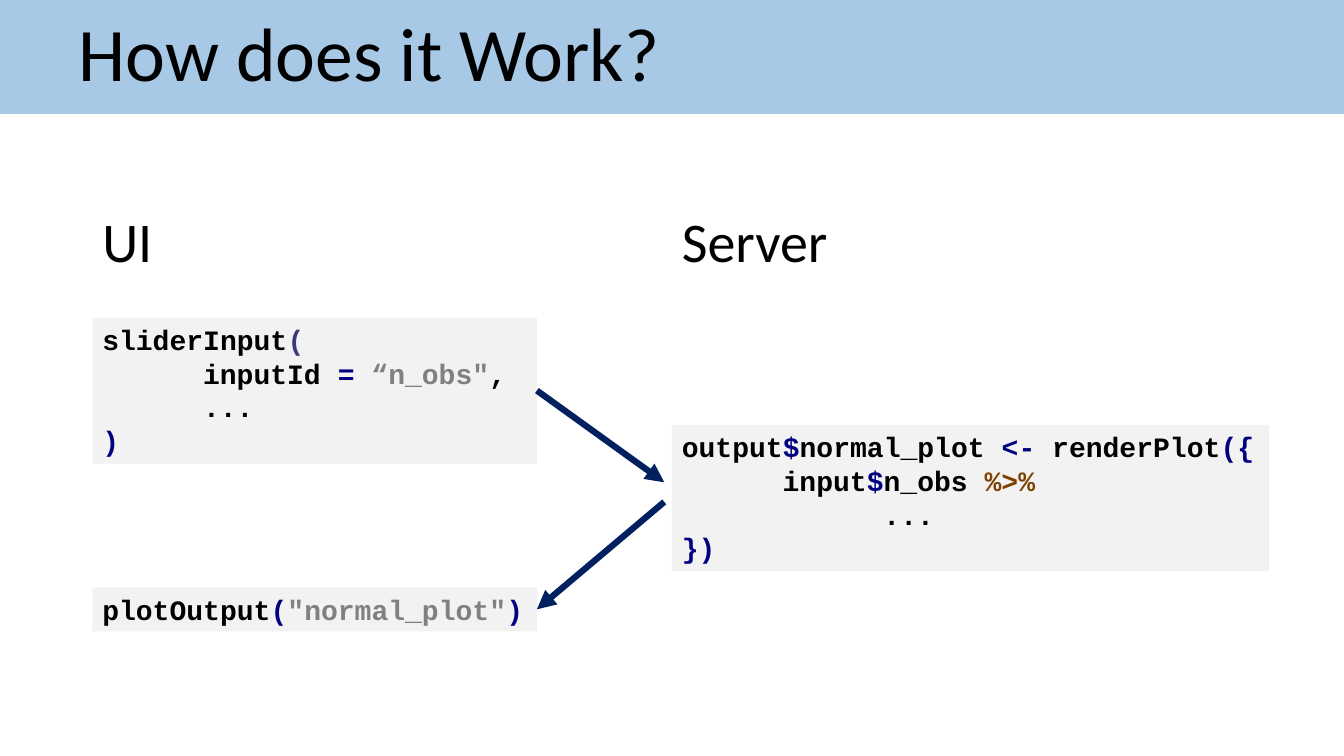
from lxml import etree
from pptx import Presentation
from pptx.dml.color import RGBColor
from pptx.enum.shapes import MSO_CONNECTOR, MSO_SHAPE
from pptx.enum.text import MSO_ANCHOR, MSO_AUTO_SIZE, PP_ALIGN
from pptx.oxml.ns import qn
from pptx.util import Pt

RECTANGLE = MSO_SHAPE.RECTANGLE
STRAIGHT = MSO_CONNECTOR.STRAIGHT
TOP, MIDDLE = MSO_ANCHOR.TOP, MSO_ANCHOR.MIDDLE
LEFT = PP_ALIGN.LEFT
NO_AUTOFIT = MSO_AUTO_SIZE.NONE
RIGHT_SIDE = 3

COLORS = {
    "banner": "5094CE",
    "panel": "F2F2F2",
    "arrow": "002060",
    "text": "000000",
    "operator": "000080",
    "paren": "3A3A7A",
    "string": "808080",
    "pipe": "804000",
}
SLIDE_W, SLIDE_H = 960, 540
UI_X, SERVER_X = 66, 480
UI_W, SERVER_W = 317.5, 426.5
HEADING_Y, HEADING_H = 144, 55.4
BLOCK_H = 104.4
TAB_WIDTH = 72

# Each code line is a list of (token, colour) pairs.
SLIDER_CODE = [
    [("sliderInput", "text"), ("(", "paren")],
    [("\tinputId ", "text"), ("= ", "operator"), ("“n_obs\"", "string"), (",", "text")],
    [("\t...", "text")],
    [(")", "operator")],
]
SERVER_CODE = [
    [("output", "text"), ("$", "operator"), ("normal_plot ", "text"),
     ("<- ", "operator"), ("renderPlot", "text"), ("({", "operator")],
    [("\tinput", "text"), ("$", "operator"), ("n_obs ", "text"), ("%>%", "pipe")],
    [("\t\t...", "text")],
    [("})", "operator")],
]
PLOT_CODE = [
    [("plotOutput", "text"), ("(", "operator"), ("\"normal_plot\"", "string"), (")", "operator")],
]


def rgb(name):
    return RGBColor.from_string(COLORS[name])


def write_text(frame, lines, size, font="Calibri", bold=False, anchor=TOP,
               wrap=True, line_spacing=None):
    """Fill a text frame with lines of coloured tokens."""
    frame.auto_size = NO_AUTOFIT
    frame.word_wrap = wrap
    frame.vertical_anchor = anchor
    for number, tokens in enumerate(lines):
        paragraph = frame.add_paragraph() if number else frame.paragraphs[0]
        paragraph.alignment = LEFT
        paragraph._p.get_or_add_pPr().set("defTabSz", str(Pt(TAB_WIDTH)))
        if line_spacing:
            paragraph.line_spacing = line_spacing
        for token, color in tokens:
            run = paragraph.add_run()
            run.text = token
            run.font.name = font
            run.font.size = Pt(size)
            run.font.bold = bold
            run.font.color.rgb = rgb(color)


def add_banner(slide, x, y, w, h):
    banner = slide.shapes.title
    banner.left, banner.top, banner.width, banner.height = Pt(x), Pt(y), Pt(w), Pt(h)
    banner.fill.solid()
    banner.fill.fore_color.rgb = rgb("banner")
    color = next(banner.fill._xPr.iter(qn("a:srgbClr")))
    etree.SubElement(color, qn("a:alpha")).set("val", "50000")
    banner.text_frame.margin_left = Pt(56)
    write_text(banner.text_frame, [[("How does it Work?", "text")]], 54,
               anchor=MIDDLE, line_spacing=0.9)


def add_heading(slide, text, x, y, w, h):
    heading = slide.shapes.add_textbox(Pt(x), Pt(y), Pt(w), Pt(h))
    write_text(heading.text_frame, [[(text, "text")]], 40, wrap=False)


def add_code(slide, code, x, y, w, h, anchor=TOP):
    panel = slide.shapes.add_shape(RECTANGLE, Pt(x), Pt(y), Pt(w), Pt(h))
    panel.shadow.inherit = False
    panel.fill.solid()
    panel.fill.fore_color.rgb = rgb("panel")
    panel.line.fill.background()
    write_text(panel.text_frame, code, 20, font="Courier New", bold=True, anchor=anchor)
    return panel


def add_arrow(slide, x1, y1, x2, y2):
    arrow = slide.shapes.add_connector(STRAIGHT, Pt(x1), Pt(y1), Pt(x2), Pt(y2))
    arrow.line.color.rgb = rgb("arrow")
    arrow.line.width = Pt(4.5)
    etree.SubElement(arrow.line._get_or_add_ln(), qn("a:tailEnd")).set("type", "triangle")
    etree.SubElement(arrow._element.spPr, qn("a:effectLst"))
    return arrow


def add_flow(slide):
    """Place the three code panels and the arrows that link them."""
    slider_y, server_y, plot_y, plot_h = 226.8, 303.5, 419.5, 31.5
    slider = add_code(slide, SLIDER_CODE, UI_X, slider_y, UI_W, BLOCK_H)
    add_code(slide, SERVER_CODE, SERVER_X, server_y, SERVER_W, BLOCK_H)
    plot = add_code(slide, PLOT_CODE, UI_X, plot_y, UI_W, plot_h, anchor=MIDDLE)

    ui_edge, server_edge = UI_X + UI_W, SERVER_X - 5.5
    to_server = add_arrow(slide, ui_edge, slider_y + BLOCK_H / 2, server_edge, server_y + 41)
    to_server.begin_connect(slider, RIGHT_SIDE)
    to_plot = add_arrow(slide, server_edge, server_y + 55, ui_edge, plot_y + plot_h / 2)
    to_plot.end_connect(plot, RIGHT_SIDE)


def main():
    deck = Presentation()
    deck.slide_width, deck.slide_height = Pt(SLIDE_W), Pt(SLIDE_H)
    slide = deck.slides.add_slide(deck.slide_layouts.get_by_name("Title Only"))
    add_banner(slide, 0, 0, SLIDE_W, 81.4)
    add_heading(slide, "UI", UI_X, HEADING_Y, 50.4, HEADING_H)
    add_heading(slide, "Server", SERVER_X, HEADING_Y, 119.5, HEADING_H)
    add_flow(slide)
    deck.save("out.pptx")


if __name__ == "__main__":
    main()
